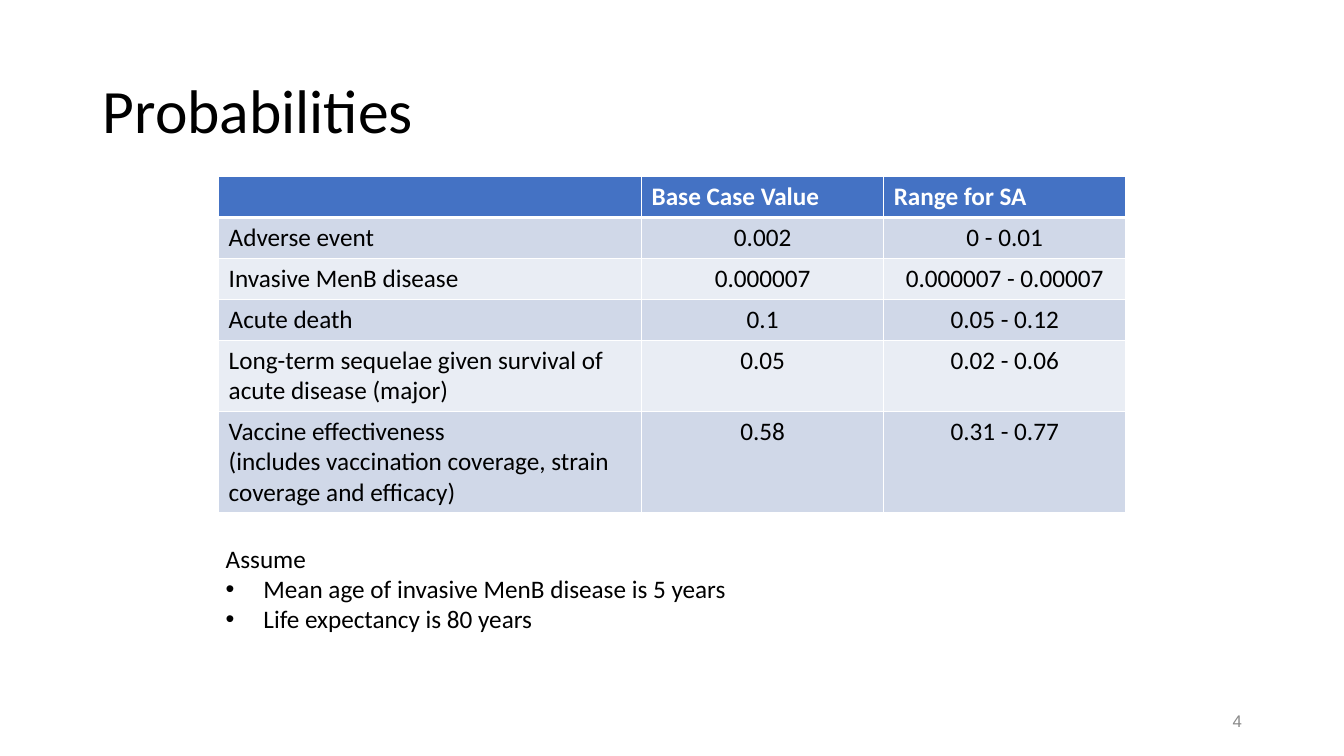
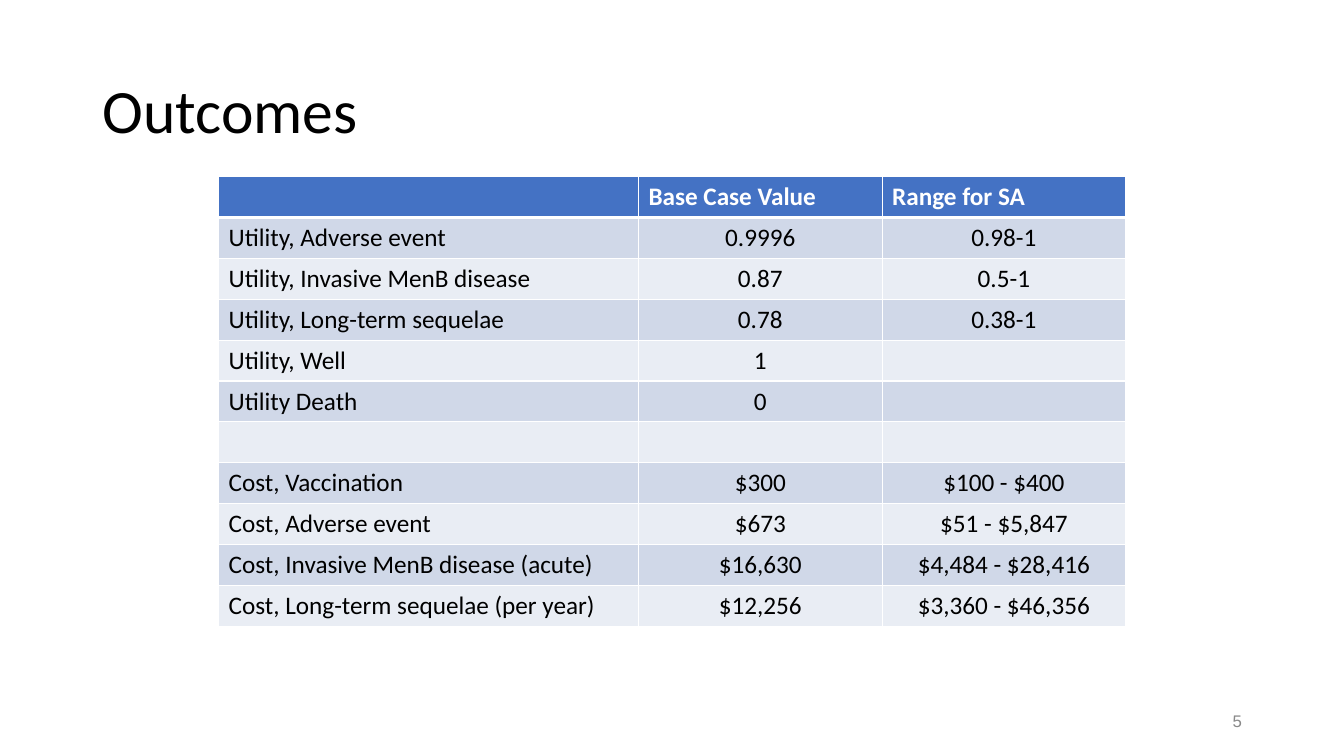
from lxml.etree import SubElement
from pptx import Presentation
from pptx.dml.color import RGBColor
from pptx.enum.text import MSO_ANCHOR, MSO_AUTO_SIZE, PP_ALIGN
from pptx.oxml.ns import qn
from pptx.util import Cm, Pt

COLORS = {
    "title": "000000",
    "body": "000000",
    "header_text": "FFFFFF",
    "header_fill": "4472C4",
    "odd_row": "D0D8E8",
    "even_row": "E9EDF4",
    "grid": "FFFFFF",
    "number": "898989",
}
FONTS = {
    "title": {"name": "Calibri", "size": Pt(44)},
    "header_text": {"name": "Calibri", "size": Pt(18), "bold": True},
    "body": {"name": "Calibri", "size": Pt(18), "bold": False},
    "number": {"name": "Arial", "size": Pt(12)},
}
TITLE_BOX = (2.34, 1.02, 29.21, 3.68)
NUMBER_BOX = (23.93, 17.65, 7.62, 1.02)
TABLE_BOX = (5.51, 4.45, 22.86)
ASSUMPTIONS_BOX = (5.44, 13.56, 13.26, 2.57)
ROW_HEIGHT = 1.03
EXTRA_LINE = 0.76
BULLET_INDENT = 0.95
HEADINGS = ("", "Base Case Value", "Range for SA")

PROBABILITIES = [
    ("Adverse event", "0.002", "0 - 0.01"),
    ("Invasive MenB disease", "0.000007", "0.000007 - 0.00007"),
    ("Acute death", "0.1", "0.05 - 0.12"),
    ("Long-term sequelae given survival of acute disease (major)", "0.05", "0.02 - 0.06"),
    ("Vaccine effectiveness\n(includes vaccination coverage, strain coverage and efficacy)",
     "0.58", "0.31 - 0.77"),
]
OUTCOMES = [
    ("Utility, Adverse event", "0.9996", "0.98-1"),
    ("Utility, Invasive MenB disease", "0.87", "0.5-1"),
    ("Utility, Long-term sequelae", "0.78", "0.38-1"),
    ("Utility, Well", "1", ""),
    ("Utility Death", "0", ""),
    ("", "", ""),
    ("Cost, Vaccination", "$300", "$100 - $400"),
    ("Cost, Adverse event", "$673", "$51 - $5,847"),
    ("Cost, Invasive MenB disease (acute)", "$16,630", "$4,484 - $28,416"),
    ("Cost, Long-term sequelae (per year)", "$12,256", "$3,360 - $46,356"),
]
ASSUMPTIONS = ["Mean age of invasive MenB disease is 5 years", "Life expectancy is 80 years"]


def apply(target, values):
    for attribute, value in values.items():
        setattr(target, attribute, value)


def style_text(frame, role, **paragraph_format):
    for paragraph in frame.paragraphs:
        apply(paragraph, paragraph_format)
        for run in paragraph.runs:
            apply(run.font, FONTS[role])
            run.font.color.rgb = RGBColor.from_string(COLORS[role])


def add_text(slide, box, text, role, frame_format, **paragraph_format):
    frame = slide.shapes.add_textbox(*map(Cm, box)).text_frame
    frame.text = text
    apply(frame, {"word_wrap": True, **frame_format})
    style_text(frame, role, **paragraph_format)
    return frame


def add_bullet(paragraph):
    properties = paragraph._p.get_or_add_pPr()
    indent = int(Cm(BULLET_INDENT))
    properties.set("marL", str(indent))
    properties.set("indent", str(-indent))
    SubElement(properties, qn("a:buFont"), typeface="Arial")
    SubElement(properties, qn("a:buChar"), char="•")


def set_borders(cell, widths):
    properties = cell._tc.get_or_add_tcPr()
    for side, width in widths.items():
        line = SubElement(properties, qn(f"a:ln{side}"), w=str(int(Pt(width))))
        fill = SubElement(line, qn("a:solidFill"))
        SubElement(fill, qn("a:srgbClr"), val=COLORS["grid"])


def style_cell(cell, row, column):
    header = row == 0
    set_borders(cell, {"L": 1, "R": 1, "T": 3 if row == 1 else 1, "B": 3 if header else 1})
    band = "header_fill" if header else "odd_row" if row % 2 else "even_row"
    cell.fill.solid()
    cell.fill.fore_color.rgb = RGBColor.from_string(COLORS[band])
    centred = column > 0 and not header
    style_text(cell.text_frame, "header_text" if header else "body",
               alignment=PP_ALIGN.CENTER if centred else PP_ALIGN.LEFT)


def add_values_table(slide, box, rows, value_width, line_counts):
    left, top, width = box
    entries = [HEADINGS, *rows]
    heights = [ROW_HEIGHT + EXTRA_LINE * (line_counts.get(row, 1) - 1)
               for row in range(len(entries))]
    table = slide.shapes.add_table(
        len(entries), len(HEADINGS), *map(Cm, (left, top, width, sum(heights)))).table
    widths = (width - 2 * value_width, value_width, value_width)
    for column, column_width in zip(table.columns, widths):
        column.width = Cm(column_width)
    for row, (entry, height) in enumerate(zip(entries, heights)):
        table.rows[row].height = Cm(height)
        for column, text in enumerate(entry):
            cell = table.cell(row, column)
            cell.text = text
            style_cell(cell, row, column)


def add_assumptions(slide, box):
    frame = add_text(slide, box, "\n".join(["Assume", *ASSUMPTIONS]), "body",
                     {"word_wrap": False, "auto_size": MSO_AUTO_SIZE.SHAPE_TO_FIT_TEXT})
    for paragraph in frame.paragraphs[1:]:
        add_bullet(paragraph)


def add_table_slide(deck, title, number, rows, value_width, line_counts):
    slide = deck.slides.add_slide(deck.slide_layouts[6])
    middle = {"vertical_anchor": MSO_ANCHOR.MIDDLE}
    add_text(slide, TITLE_BOX, title, "title", middle, line_spacing=0.9)
    add_values_table(slide, TABLE_BOX, rows, value_width, line_counts)
    add_text(slide, NUMBER_BOX, number, "number", middle, alignment=PP_ALIGN.RIGHT)
    return slide


def main():
    deck = Presentation()
    apply(deck, {"slide_width": Cm(33.87), "slide_height": Cm(19.05)})
    probabilities = add_table_slide(deck, "Probabilities", "4", PROBABILITIES, 6.1, {4: 2, 5: 3})
    add_assumptions(probabilities, ASSUMPTIONS_BOX)
    add_table_slide(deck, "Outcomes", "5", OUTCOMES, 6.14, {})
    deck.save("out.pptx")


if __name__ == "__main__":
    main()
